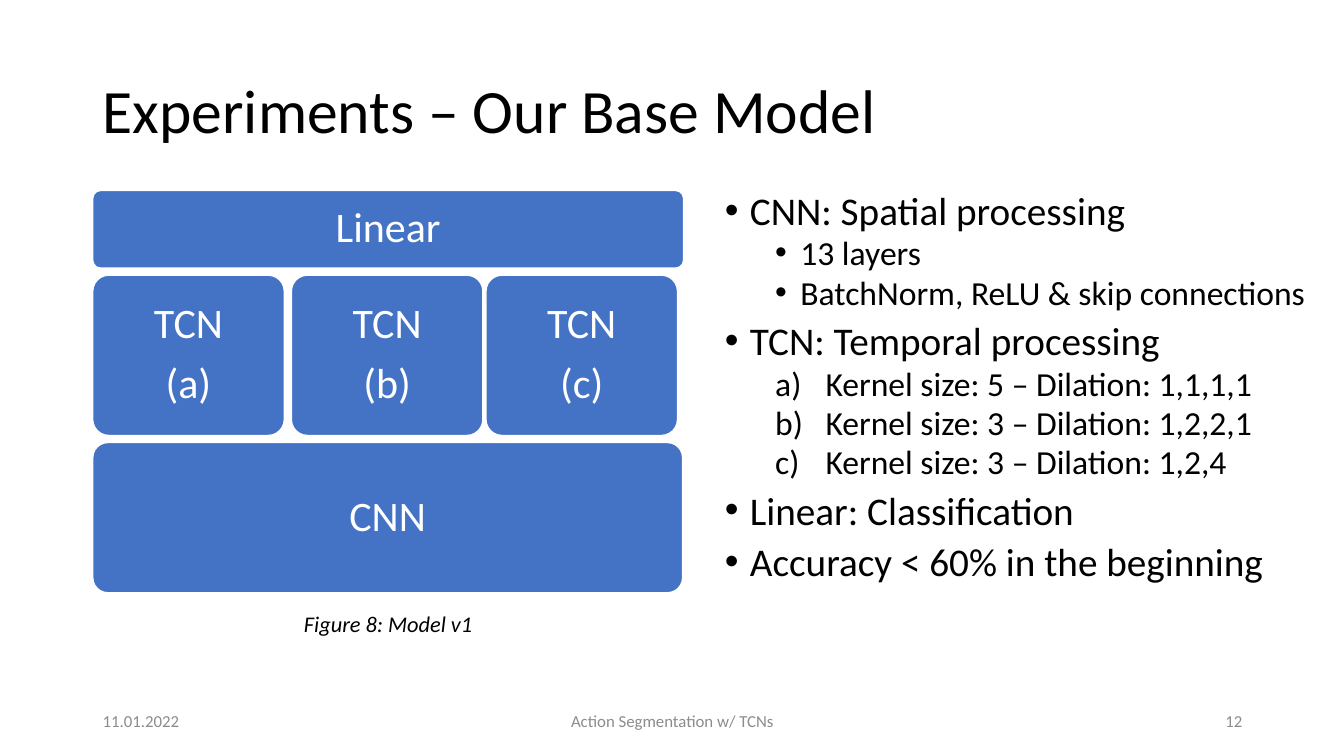
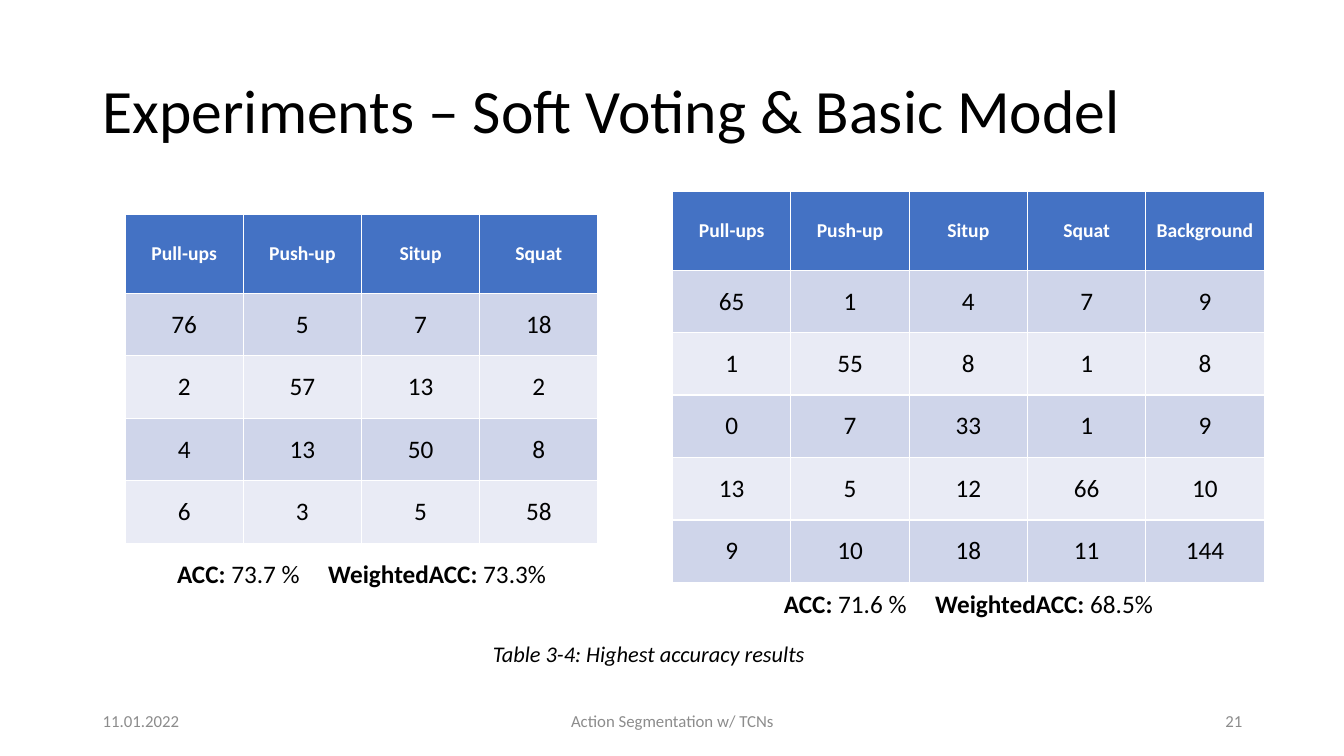
from typing import NamedTuple

from lxml import etree
from pptx import Presentation
from pptx.dml.color import RGBColor
from pptx.enum.shapes import MSO_SHAPE as Shape
from pptx.enum.text import MSO_ANCHOR as Anchor, PP_ALIGN as Align
from pptx.oxml.ns import qn
from pptx.util import Inches, Pt

# Shared style
FONT = "Calibri"
COLORS = {
    "text": "000000",
    "footer": "8C8C8C",
    "accent": "4472C4",
    "white": "FFFFFF",
    "band_dark": "CFD5EA",
    "band_light": "E9EBF5",
}
LEFT = 0.92
FOOTER_DATE = "11.01.2022"
FOOTER_TEXT = "Action Segmentation w/ TCNs"
HEADER_HEIGHT = 0.78
ROW_HEIGHT = 0.62


class Area(NamedTuple):
    left: float
    top: float
    width: float
    height: float

    def lengths(self):
        return [Inches(value) for value in self]


class Block(NamedTuple):
    lines: list[str]
    area: Area


class ListLevel(NamedTuple):
    size: int
    margin: float
    hanging: float
    space_before: int
    marker_tag: str
    marker_attributes: dict[str, str]


class ListItem(NamedTuple):
    text: str
    level: ListLevel


class ResultTable(NamedTuple):
    area: Area
    rows: list[list[int]]
    accuracy: str
    weighted: str
    summary_top: float


TITLE_AREA = Area(LEFT, 0.4, 11.5, 1.45)

# Model diagram
TCN_TOP, TCN_WIDTH, TCN_HEIGHT = 2.73, 1.9, 1.59
MODEL_BLOCKS = [
    Block(["Linear"], Area(LEFT, 1.89, 5.86, 0.77)),
    Block(["CNN"], Area(LEFT, 4.39, 5.85, 1.49)),
] + [
    Block(["TCN", f"({letter})"], Area(left, TCN_TOP, TCN_WIDTH, TCN_HEIGHT))
    for letter, left in zip("abc", (LEFT, 2.89, 4.82))
]

# Model description
BULLET = ("a:buChar", {"char": "•"})
POINT = ListLevel(28, 0.25, 0.25, 10, *BULLET)
DETAIL = ListLevel(24, 0.75, 0.25, 5, *BULLET)
LETTERED = ListLevel(24, 1, 0.5, 5, "a:buAutoNum", {"type": "alphaLcParenR"})
MODEL_ITEMS = [
    ListItem("CNN: Spatial processing", POINT),
    ListItem("13 layers", DETAIL),
    ListItem("BatchNorm, ReLU & skip connections", DETAIL),
    ListItem("TCN: Temporal processing", POINT),
    ListItem("Kernel size: 5 – Dilation: 1,1,1,1", LETTERED),
    ListItem("Kernel size: 3 – Dilation: 1,2,2,1", LETTERED),
    ListItem("Kernel size: 3 – Dilation: 1,2,4", LETTERED),
    ListItem("Linear: Classification", POINT),
    ListItem("Accuracy < 60% in the beginning", POINT),
]

# Confusion matrices
CLASS_NAMES = ["Pull-ups", "Push-up", "Situp", "Squat", "Background"]
RESULT_TABLES = [
    ResultTable(
        Area(1.24, 2.13, 4.69, 3.24),
        [[76, 5, 7, 18], [2, 57, 13, 2], [4, 13, 50, 8], [6, 3, 5, 58]],
        "73.7 %", "73.3%", 5.49,
    ),
    ResultTable(
        Area(6.67, 1.9, 5.87, 3.86),
        [
            [65, 1, 4, 7, 9],
            [1, 55, 8, 1, 8],
            [0, 7, 33, 1, 9],
            [13, 5, 12, 66, 10],
            [9, 10, 18, 11, 144],
        ],
        "71.6 %", "68.5%", 5.79,
    ),
]


def rgb(name: str) -> RGBColor:
    return RGBColor.from_string(COLORS[name])


def style_font(para, size: int, color: str = "text", bold: bool = False,
               italic: bool = False) -> None:
    font = para.font
    font.name, font.size = FONT, Pt(size)
    font.bold, font.italic = bold, italic
    font.color.rgb = rgb(color)


def add_text(page, area: Area, text: str, size: int, color: str = "text",
             align=Align.CENTER, anchor=Anchor.TOP, italic: bool = False):
    """Add a one-paragraph text box and return its paragraph."""
    frame = page.shapes.add_textbox(*area.lengths()).text_frame
    frame.word_wrap = True
    frame.vertical_anchor = anchor
    para = frame.paragraphs[0]
    para.text = text
    para.alignment = align
    style_font(para, size, color, italic=italic)
    return para


def add_page(deck, title: str, number: int):
    """Add a title-only slide with its title and footers."""
    page = deck.slides.add_slide(deck.slide_layouts[5])
    box = page.shapes.title
    box.left, box.top, box.width, box.height = TITLE_AREA.lengths()
    box.text_frame.text = title
    box.text_frame.vertical_anchor = Anchor.MIDDLE
    para = box.text_frame.paragraphs[0]
    para.alignment = Align.LEFT
    para.line_spacing = 0.9
    style_font(para, 44)

    footers = [
        (FOOTER_DATE, LEFT, 3, Align.LEFT),
        (FOOTER_TEXT, 4.42, 4.5, Align.CENTER),
        (str(number), 9.42, 3, Align.RIGHT),
    ]
    for text, left, width, align in footers:
        add_text(page, Area(left, 6.95, width, 0.4), text, 12, "footer",
                 align, Anchor.MIDDLE)
    return page


def add_block(page, block: Block) -> None:
    box = page.shapes.add_shape(Shape.ROUNDED_RECTANGLE, *block.area.lengths())
    box.adjustments[0] = 0.1
    box.shadow.inherit = False
    box.fill.solid()
    box.fill.fore_color.rgb = rgb("accent")
    box.line.color.rgb = rgb("white")
    box.line.width = Pt(1)
    frame = box.text_frame
    frame.vertical_anchor = Anchor.MIDDLE
    frame.text = "\n".join(block.lines)
    for para in frame.paragraphs:
        para.alignment = Align.CENTER
        para.line_spacing = 0.9
        para.space_after = Pt(10.5)
        style_font(para, 30, "white")


def add_list(page, area: Area, items: list[ListItem]) -> None:
    frame = page.shapes.add_textbox(*area.lengths()).text_frame
    frame.word_wrap = True
    frame.text = "\n".join(item.text for item in items)
    for para, (_, level) in zip(frame.paragraphs, items):
        para.line_spacing = 0.8
        para.space_before = Pt(level.space_before)
        style_font(para, level.size)
        # Indent and bullet marker
        properties = para._p.get_or_add_pPr()
        properties.set("marL", str(Inches(level.margin)))
        properties.set("indent", str(-Inches(level.hanging)))
        marker = etree.Element(qn(level.marker_tag), level.marker_attributes)
        bullet_font = etree.Element(qn("a:buFont"), {"typeface": "Arial"})
        if level.marker_tag == "a:buAutoNum":
            bullet_font.set("typeface", FONT)
        default_run = properties.find(qn("a:defRPr"))
        default_run.addprevious(bullet_font)
        default_run.addprevious(marker)


def add_result_table(page, result: ResultTable) -> None:
    names = CLASS_NAMES[:len(result.rows[0])]
    content = [names, *result.rows]
    table = page.shapes.add_table(
        len(content), len(names), *result.area.lengths()).table
    for row_index, values in enumerate(content):
        is_header = row_index == 0
        table.rows[row_index].height = Inches(
            HEADER_HEIGHT if is_header else ROW_HEIGHT)
        band = "band_dark" if row_index % 2 else "band_light"
        for column_index, value in enumerate(values):
            cell = table.cell(row_index, column_index)
            cell.text = str(value)
            cell.vertical_anchor = Anchor.MIDDLE
            cell.fill.solid()
            cell.fill.fore_color.rgb = rgb("accent" if is_header else band)
            para = cell.text_frame.paragraphs[0]
            para.alignment = Align.CENTER
            if is_header:
                style_font(para, 14, "white", bold=True)
            else:
                style_font(para, 18)

    # Scores below the table
    area = result.area._replace(top=result.summary_top, height=0.4)
    para = add_text(page, area, "", 18)
    scores = [
        ("ACC:", True), (f" {result.accuracy}\t", False),
        ("WeightedACC:", True), (f" {result.weighted}", False),
    ]
    for text, bold in scores:
        span = para.add_run()
        span.text = text
        span.font.bold = bold


def main() -> None:
    deck = Presentation()
    deck.slide_width, deck.slide_height = Inches(13.33), Inches(7.5)

    # Base model
    page = add_page(deck, "Experiments – Our Base Model", 12)
    for block in MODEL_BLOCKS:
        add_block(page, block)
    add_text(page, Area(2.46, 6, 2.78, 0.37), "Figure 8: Model v1", 16,
             italic=True)
    add_list(page, Area(7.09, 1.89, 6.06, 4.11), MODEL_ITEMS)

    # Soft voting results
    page = add_page(deck, "Experiments – Soft Voting & Basic Model", 21)
    for result in RESULT_TABLES:
        add_result_table(page, result)
    add_text(page, Area(4.42, 6.3, 4.03, 0.37),
             "Table 3-4: Highest accuracy results", 16, italic=True)

    deck.save("out.pptx")


if __name__ == "__main__":
    main()
